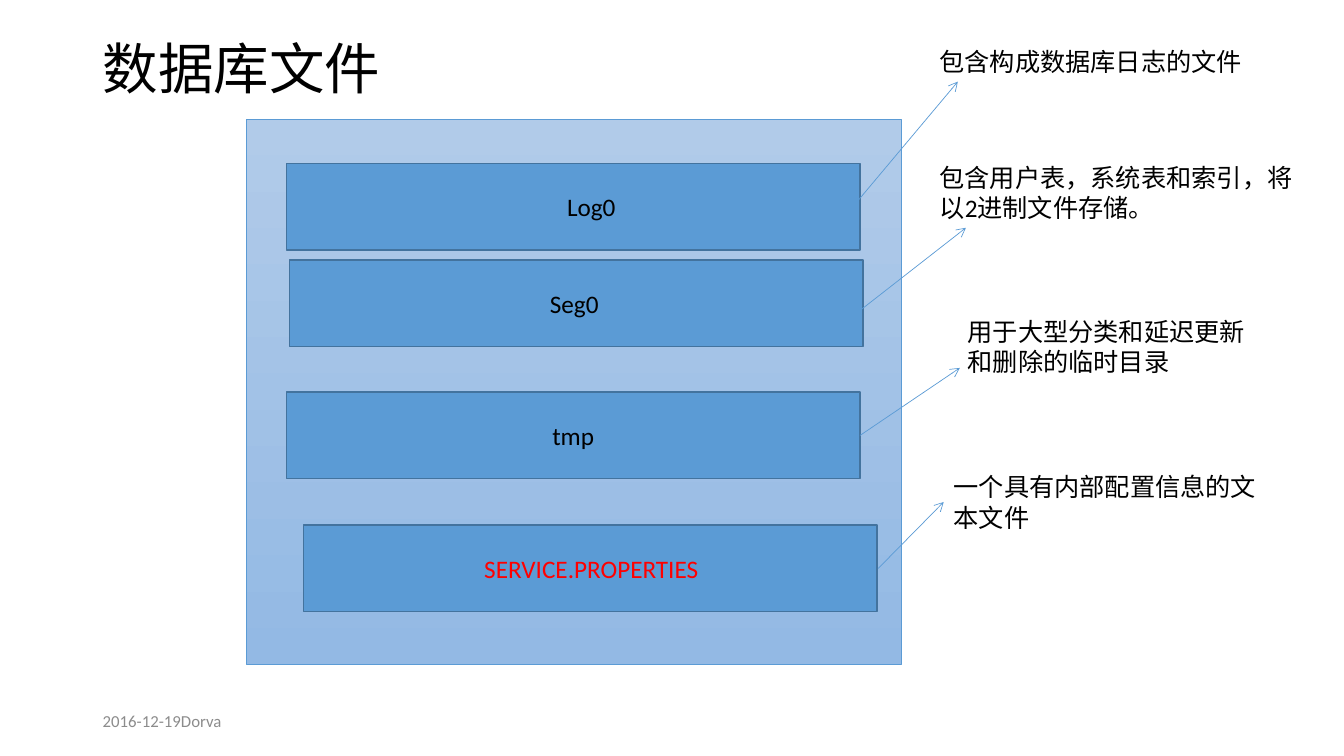
from lxml.etree import SubElement
from pptx import Presentation
from pptx.dml.color import RGBColor
from pptx.enum.shapes import MSO_CONNECTOR, MSO_SHAPE
from pptx.enum.text import MSO_ANCHOR, MSO_AUTO_SIZE, PP_ALIGN
from pptx.oxml.ns import qn
from pptx.util import Inches, Pt

FONT = "Calibri"
COLORS = {
    "panel_top": "B1CBE9",
    "panel_bottom": "93B9E4",
    "accent": "5B9BD5",
    "border": "43739E",
    "text": "000000",
    "alert": "FF0000",
    "footer": "8C8C8C",
}
BOX_SIZE = (5.69, 0.86)
LABEL_SIZE = (5.21, 0.4)
LABEL_DROP = 0.23  # from the top of a box to the top of its label

# name, box left, box top, label left, label colour
FILES = [
    ("Log0", 2.84, 1.62, 3.26, "text"),
    ("Seg0", 2.87, 2.58, 3.09, "text"),
    ("tmp", 2.84, 3.89, 3.08, "text"),
    ("SERVICE.PROPERTIES", 3.01, 5.21, 3.26, "alert"),
]
# text, position and size, arrow start, arrow end
NOTES = [
    ("包含构成数据库日志的文件", (9.22, 0.41, 3.89, 0.4), (8.46, 2.05), (9.5, 0.81)),
    ("包含用户表，系统表和索引，将以2进制文件存储。",
     (9.22, 1.56, 3.89, 0.7), (8.53, 3.08), (9.58, 2.26)),
    ("用于大型分类和延迟更新和删除的临时目录",
     (9.5, 3.09, 3.06, 0.7), (8.53, 4.32), (9.52, 3.65)),
    ("一个具有内部配置信息的文本文件",
     (9.36, 4.63, 3.3, 0.7), (8.71, 5.64), (9.36, 4.98)),
]


def color(name):
    return RGBColor.from_string(COLORS[name])


def lengths(values):
    return [Inches(value) for value in values]


def add_run(paragraph, text, size, color_name):
    run = paragraph.add_run()
    run.text = text
    run.font.name = FONT
    run.font.size = Pt(size)
    run.font.color.rgb = color(color_name)


def set_title(slide, text):
    title = slide.shapes.title
    title.left, title.top, title.width, title.height = lengths((0.92, 0.4, 11.5, 0.62))
    frame = title.text_frame
    frame.auto_size = MSO_AUTO_SIZE.NONE
    frame.vertical_anchor = MSO_ANCHOR.MIDDLE
    paragraph = frame.paragraphs[0]
    paragraph.alignment = PP_ALIGN.LEFT
    paragraph.line_spacing = 0.9
    add_run(paragraph, text, 39.6, "text")


def add_text(slide, text, bounds, size=18, color_name="text",
             alignment=PP_ALIGN.LEFT, anchor=MSO_ANCHOR.TOP):
    frame = slide.shapes.add_textbox(*lengths(bounds)).text_frame
    frame.word_wrap = True
    frame.vertical_anchor = anchor
    paragraph = frame.paragraphs[0]
    paragraph.alignment = alignment
    add_run(paragraph, text, size, color_name)


def add_rectangle(slide, bounds, line_color, line_width):
    shape = slide.shapes.add_shape(MSO_SHAPE.RECTANGLE, *lengths(bounds))
    shape.shadow.inherit = False
    shape.fill.solid()
    shape.fill.fore_color.rgb = color("accent")
    shape.line.color.rgb = color(line_color)
    shape.line.width = Pt(line_width)
    return shape


def add_panel(slide, bounds):
    panel = add_rectangle(slide, bounds, "accent", 0.5)
    panel.fill.gradient()
    panel.fill.gradient_angle = 270
    for stop, name in zip(panel.fill.gradient_stops, ("panel_top", "panel_bottom")):
        stop.color.rgb = color(name)


def add_arrow(slide, start, end):
    arrow = slide.shapes.add_connector(MSO_CONNECTOR.STRAIGHT, *lengths(start + end))
    arrow.line.color.rgb = color("accent")
    arrow.line.width = Pt(0.5)
    SubElement(arrow.line._get_or_add_ln(), qn("a:tailEnd"), type="arrow")
    SubElement(arrow._element.spPr, qn("a:effectLst"))


def main():
    presentation = Presentation()
    presentation.slide_width = Inches(13.33)
    presentation.slide_height = Inches(7.5)
    slide = presentation.slides.add_slide(presentation.slide_layouts.get_by_name("Title Only"))

    # Title and footer
    set_title(slide, "数据库文件")
    add_text(slide, "2016-12-19Dorva", (0.92, 6.95, 3, 0.4), 12, "footer",
             anchor=MSO_ANCHOR.MIDDLE)

    # Database directory with its files
    add_panel(slide, (2.44, 1.18, 6.5, 5.41))
    for name, left, top, label_left, label_color in FILES:
        add_rectangle(slide, (left, top, *BOX_SIZE), "border", 1)
        add_text(slide, name, (label_left, top + LABEL_DROP, *LABEL_SIZE),
                 color_name=label_color, alignment=PP_ALIGN.CENTER)

    # Explanations with arrows
    for text, bounds, start, end in NOTES:
        add_arrow(slide, start, end)
        add_text(slide, text, bounds)

    presentation.save("out.pptx")


main()
